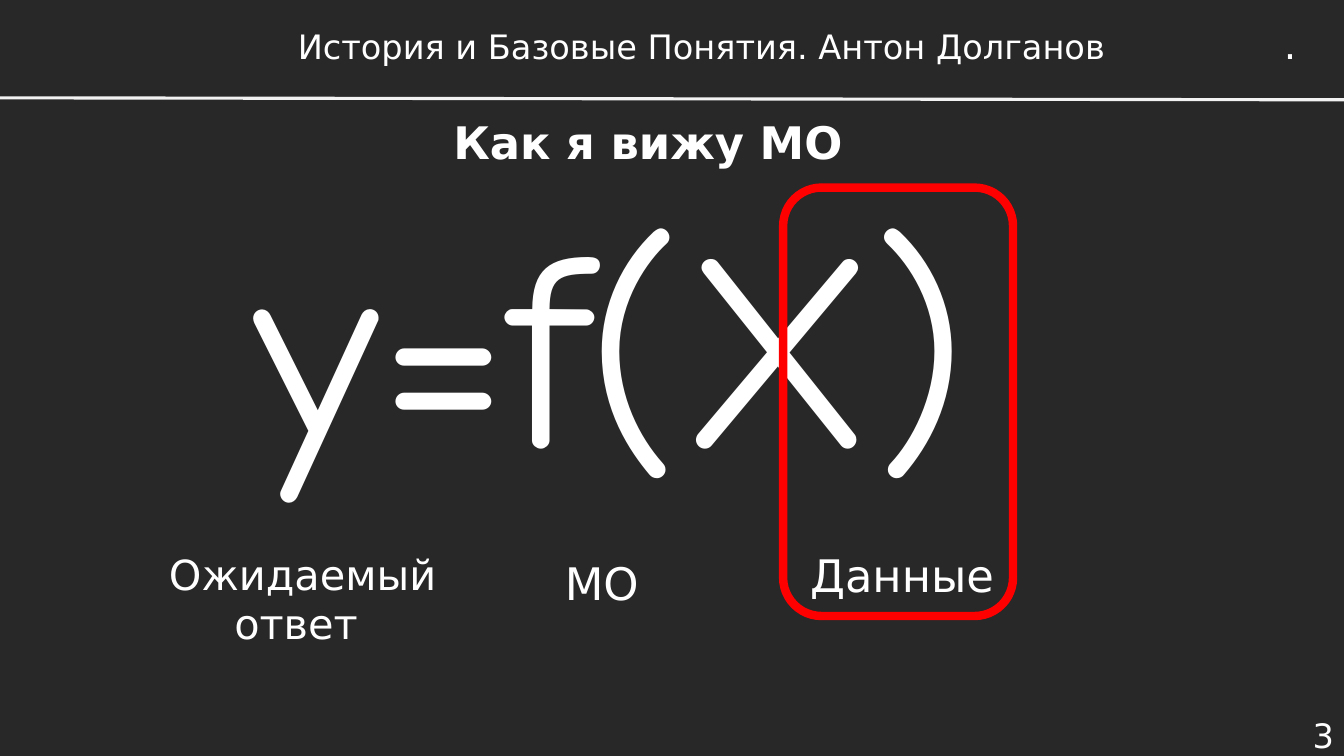
import pptx
import pptx.util
import pptx.dml.color
import pptx.enum.shapes
import pptx.enum.text
import pptx.oxml

Pt = pptx.util.Pt
ALIGN = pptx.enum.text.PP_ALIGN
ANCHOR = pptx.enum.text.MSO_ANCHOR
WIDTH, HEIGHT = 960, 540
WHITE = "FFFFFF"


def color(hex_text):
    return pptx.dml.color.RGBColor.from_string(hex_text)


def add_text(s, box, text, size=32, font="DejaVu Sans", bold=False,
             align=ALIGN.CENTER, anchor=ANCHOR.MIDDLE, wrap=True, grow=False):
    tf = s.shapes.add_textbox(*map(Pt, box)).text_frame
    tf.word_wrap = wrap
    tf.vertical_anchor = anchor
    if grow:
        tf.auto_size = pptx.enum.text.MSO_AUTO_SIZE.SHAPE_TO_FIT_TEXT
    p = tf.paragraphs[0]
    p.alignment = align
    r = p.add_run()
    r.text = text
    r.font.name = font
    r.font.size = Pt(size)
    r.font.bold = bold
    r.font.color.rgb = color(WHITE)


def add_header(s, box):
    x, y, w, h = box
    add_text(s, (x + 189.4, y + 13.7, 623.5, 38.2),
             "История и Базовые Понятия. Антон Долганов", size=24)
    add_text(s, (x + w - 49.9, y + 10.8, 24.5, 41), ".", size=28,
             align=ALIGN.LEFT, anchor=ANCHOR.TOP, wrap=False, grow=True)
    # Rule under the header, slightly sloping
    rule = s.shapes.add_connector(pptx.enum.shapes.MSO_CONNECTOR.STRAIGHT,
                                  Pt(x), Pt(y + h - 1.4), Pt(x + w), Pt(y + h))
    rule.line.color.rgb = color("F2F2F2")
    rule.line.width = Pt(2.25)
    rule._element.spPr.append(pptx.oxml.parse_xml(
        '<a:effectLst xmlns:a="http://schemas.openxmlformats.org/drawingml/2006/main"/>'))


def add_formula(s, box):
    x, y, w, h = box
    add_text(s, (x + 69.1, y, 632.2, 248.4), "y=f(X)", size=199, font="Comic Neue",
             align=ALIGN.LEFT, anchor=ANCHOR.TOP, grow=True)
    # Captions under the parts of the formula
    captions = (("Ожидаемый ответ ", 0, 277.2, 221, 29.6),
                ("МО ", 232.6, 265.7, 193, 32),
                ("Данные", 442.1, 260.6, 193, 32))
    for text, dx, dy, width, size in captions:
        add_text(s, (x + dx, y + dy, width, 65.5), text, size=size)
    # Frame around the data
    frame = s.shapes.add_shape(pptx.enum.shapes.MSO_SHAPE.ROUNDED_RECTANGLE,
                               Pt(x + 453.6), Pt(y + 16.6), Pt(164.2), Pt(306))
    frame.shadow.inherit = False
    frame.fill.background()
    frame.line.color.rgb = color("FF0000")
    frame.line.width = Pt(6)


def main():
    prs = pptx.Presentation()
    prs.slide_width, prs.slide_height = Pt(WIDTH), Pt(HEIGHT)
    s = prs.slides.add_slide(prs.slide_layouts[6])
    s.background.fill.solid()
    s.background.fill.fore_color.rgb = color("272827")

    add_header(s, (0, 0, WIDTH, 71.3))
    # Slide title
    add_text(s, (151.2, 68.4, 623.5, 65.5), "Как я вижу МО", bold=True)
    add_formula(s, (105.8, 117.4, 701.3, 342.7))
    # Slide number
    add_text(s, (WIDTH - 57.6, HEIGHT - 30.2, 57.6, 30.2), "3", size=24,
             align=ALIGN.RIGHT)
    prs.save("out.pptx")


if __name__ == "__main__":
    main()
